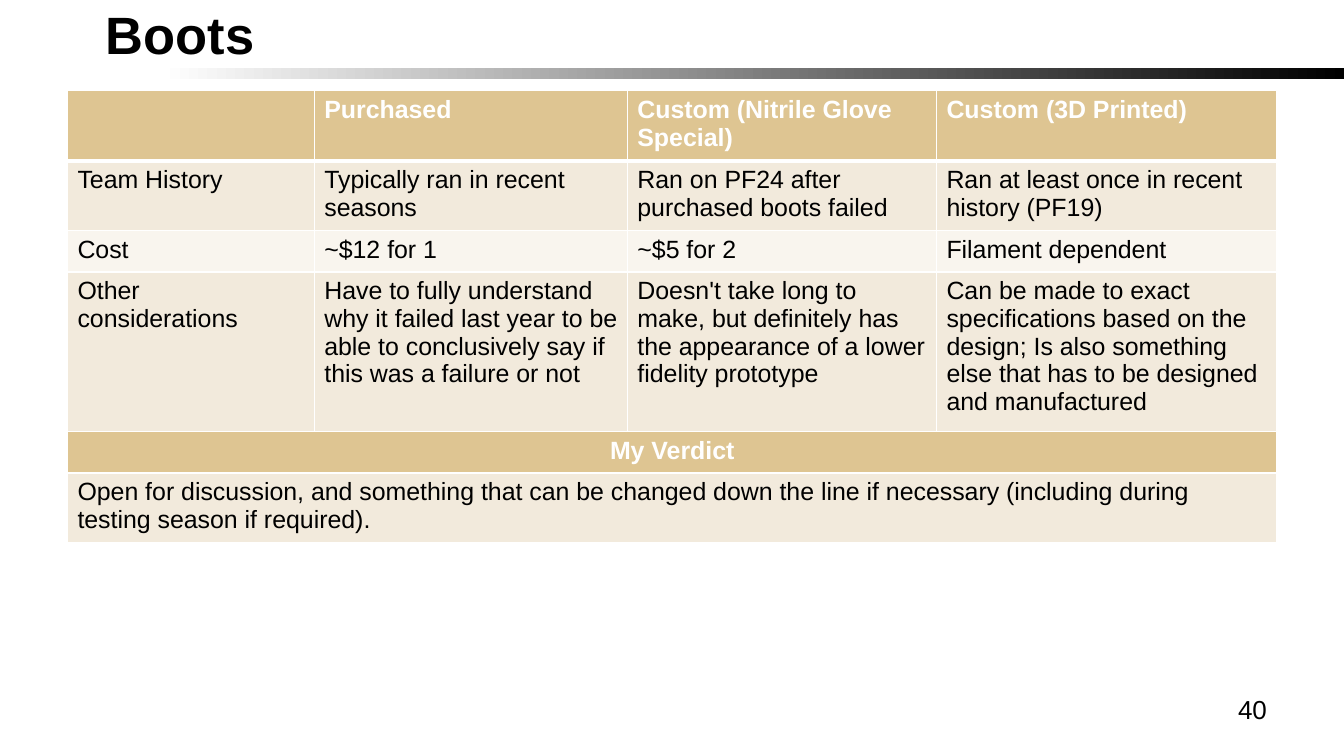
from dataclasses import dataclass

from lxml import etree
from pptx import Presentation
from pptx.dml.color import RGBColor
from pptx.enum import shapes, text
from pptx.oxml import ns
from pptx.util import Cm, Pt

# Content
TITLE = "Boots"
PAGE_NUMBER = "40"
OPTIONS = ["", "Purchased", "Custom (Nitrile Glove Special)", "Custom (3D Printed)"]
COMPARISON = [
    ["Team History", "Typically ran in recent seasons",
     "Ran on PF24 after purchased boots failed",
     "Ran at least once in recent history (PF19)"],
    ["Cost", "~$12 for 1", "~$5 for 2", "Filament dependent"],
    ["Other considerations",
     "Have to fully understand why it failed last year to be able to "
     "conclusively say if this was a failure or not",
     "Doesn't take long to make, but definitely has the appearance of a "
     "lower fidelity prototype",
     "Can be made to exact specifications based on the design; Is also "
     "something else that has to be designed and manufactured"],
]
VERDICT_HEADING = "My Verdict"
VERDICT = ("Open for discussion, and something that can be changed down the line "
           "if necessary (including during testing season if required).")


@dataclass(frozen=True)
class Theme:
    font: str = "Arial"
    black: str = "000000"
    white: str = "FFFFFF"
    gold: str = "DEC592"
    bands: tuple = ("F2EADC", "F9F5EE")
    title_size: float = 37.5
    table_size: float = 17.8
    number_size: float = 18.6
    thin: float = 1
    thick: float = 3


THEME = Theme()
LEFT = Cm(1.7)
COLUMN_WIDTHS = [Cm(w) for w in (6.22, 7.89, 7.79, 8.58)]
ROW_HEIGHTS = [Cm(h) for h in (1.65, 1.65, 1.04, 3.74, 1.04, 1.65)]


def write(frame, words, size=THEME.table_size, color=THEME.black, bold=False,
          align=text.PP_ALIGN.LEFT):
    paragraph = frame.paragraphs[0]
    paragraph.alignment = align
    run = paragraph.add_run()
    run.text = words
    run.font.name = THEME.font
    run.font.size = Pt(size)
    run.font.bold = bold
    run.font.color.rgb = RGBColor.from_string(color)


def add_label(slide, left, top, width, height, words, **style):
    frame = slide.shapes.add_textbox(left, top, width, height).text_frame
    frame.word_wrap = True
    write(frame, words, **style)
    return frame


def set_borders(cell, top, bottom):
    properties = cell._tc.get_or_add_tcPr()
    widths = {"lnL": THEME.thin, "lnR": THEME.thin, "lnT": top, "lnB": bottom}
    for side, width in widths.items():
        line = etree.SubElement(properties, ns.qn(f"a:{side}"), w=str(Pt(width)))
        fill = etree.SubElement(line, ns.qn("a:solidFill"))
        etree.SubElement(fill, ns.qn("a:srgbClr"), val=THEME.white)


def add_gradient_bar(slide, width):
    bar = slide.shapes.add_shape(shapes.MSO_SHAPE.RECTANGLE, 0, Cm(1.71), width, Cm(0.28))
    bar.shadow.inherit = False
    bar.line.fill.background()
    bar.fill.gradient()
    bar.fill.gradient_angle = 180
    stops = ((0, THEME.black), (0.88, THEME.white))
    for stop, (position, color) in zip(bar.fill.gradient_stops, stops):
        stop.position = position
        stop.color.rgb = RGBColor.from_string(color)


def add_comparison(slide):
    rows = [OPTIONS, *COMPARISON, [VERDICT_HEADING], [VERDICT]]
    heading_rows = (0, len(rows) - 2)
    table = slide.shapes.add_table(
        len(rows), len(OPTIONS), LEFT, Cm(2.29),
        sum(COLUMN_WIDTHS), sum(ROW_HEIGHTS)).table
    for column, width in zip(table.columns, COLUMN_WIDTHS):
        column.width = width
    for row, height in zip(table.rows, ROW_HEIGHTS):
        row.height = height

    for r, words_in_row in enumerate(rows):
        heading = r in heading_rows
        spans = len(words_in_row) == 1
        if spans:
            table.cell(r, 0).merge(table.cell(r, len(OPTIONS) - 1))
        fill = THEME.gold if heading else THEME.bands[(r - 1) % 2]
        for c in range(len(OPTIONS)):
            cell = table.cell(r, c)
            set_borders(cell, THEME.thick if r == 1 else THEME.thin,
                        THEME.thick if r == 0 else THEME.thin)
            cell.fill.solid()
            cell.fill.fore_color.rgb = RGBColor.from_string(fill)
            if c < len(words_in_row) and words_in_row[c]:
                write(cell.text_frame, words_in_row[c], bold=heading,
                      color=THEME.white if heading else THEME.black,
                      align=text.PP_ALIGN.CENTER if heading and spans
                      else text.PP_ALIGN.LEFT)


def main():
    deck = Presentation()
    deck.slide_width, deck.slide_height = Cm(33.87), Cm(19.05)
    slide = deck.slides.add_slide(deck.slide_layouts[6])

    # Heading over the fading bar
    add_gradient_bar(slide, deck.slide_width)
    title = add_label(slide, LEFT, Cm(0.56), Cm(22.02), Cm(1.09), TITLE,
                      size=THEME.title_size, bold=True)
    title.vertical_anchor = text.MSO_ANCHOR.BOTTOM
    title.margin_left, title.margin_bottom = Cm(0.97), 0

    # Page number
    add_label(slide, Cm(24.28), Cm(17.35), Cm(7.9), Cm(1.32), PAGE_NUMBER,
              size=THEME.number_size, align=text.PP_ALIGN.RIGHT)

    # Options and verdict
    add_comparison(slide)
    deck.save("out.pptx")


if __name__ == "__main__":
    main()
